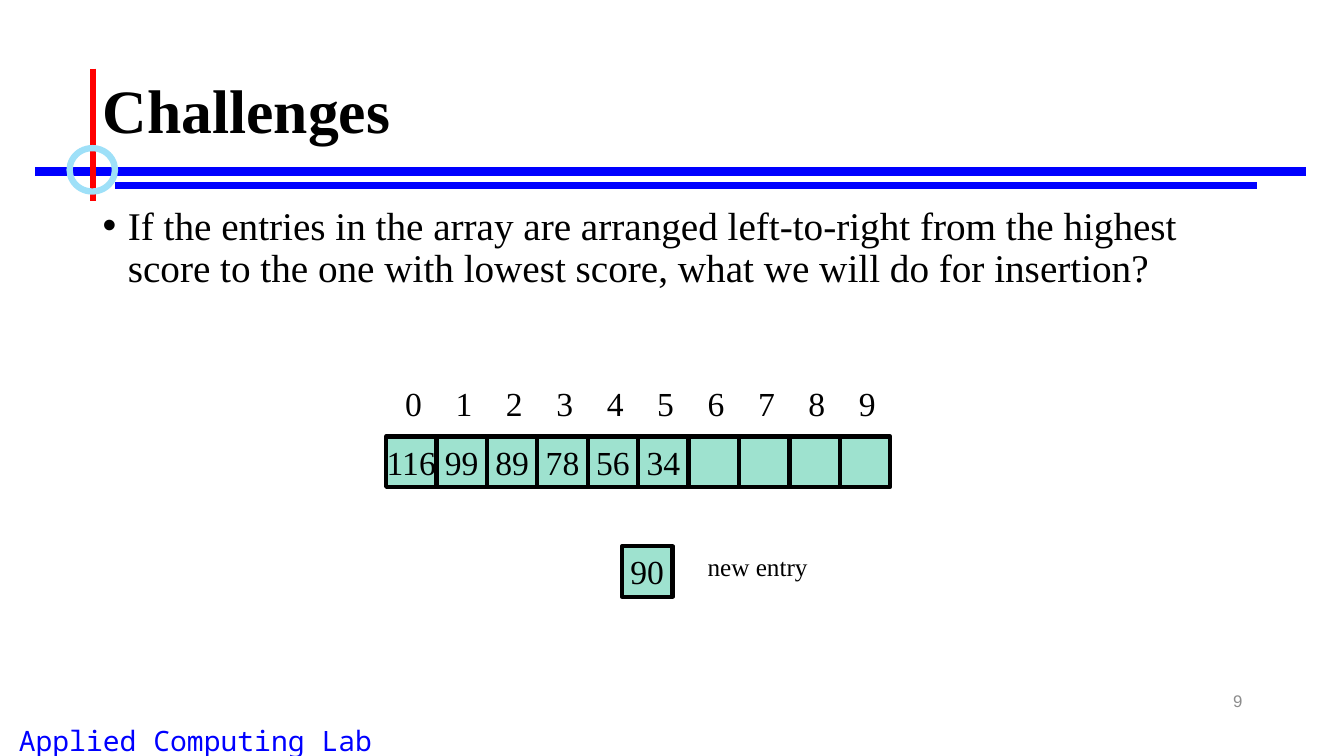
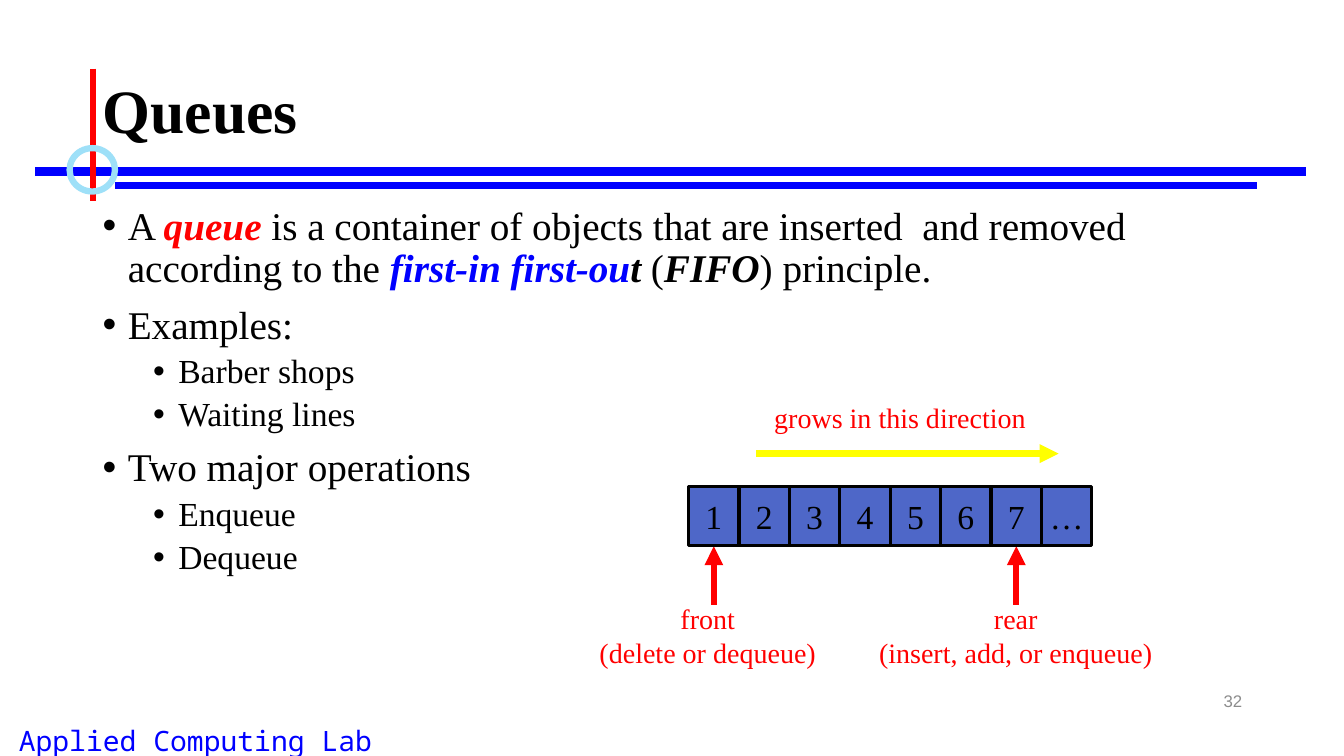
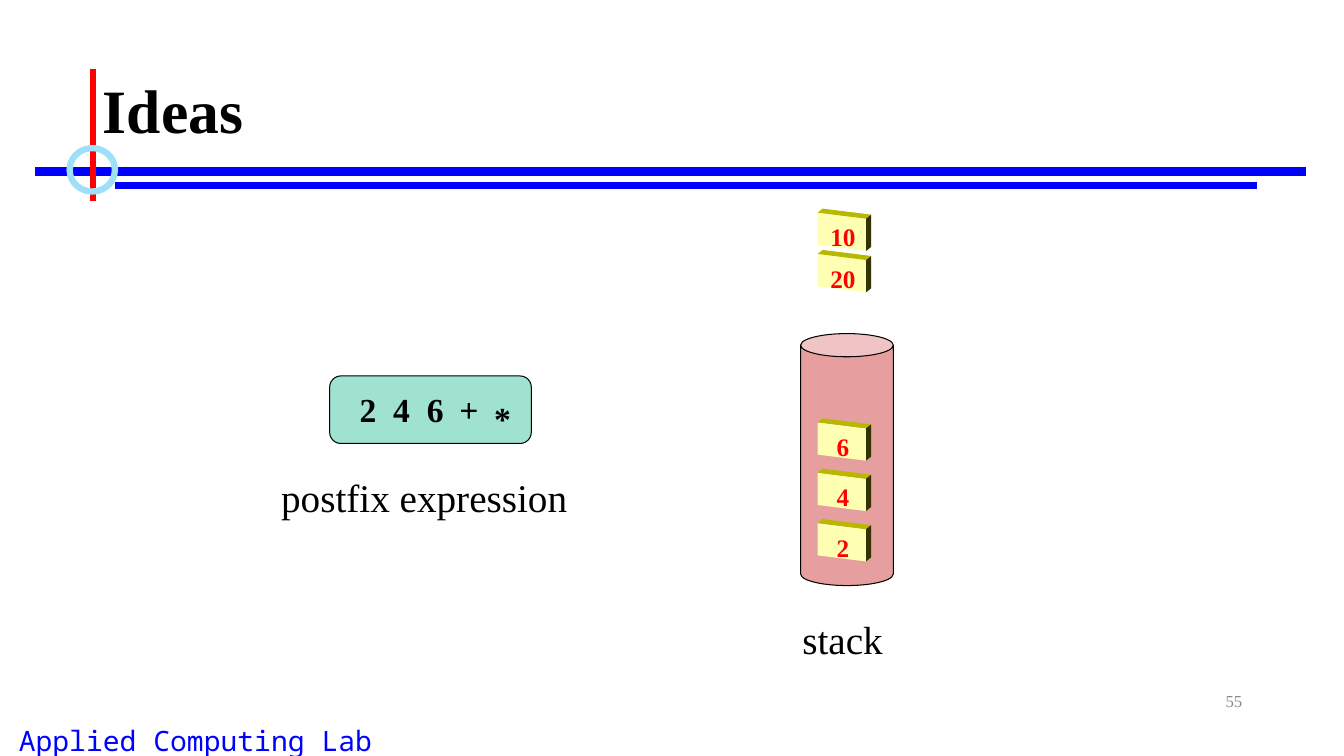
"""Build three data structure lecture slides on arrays, queues and stacks."""
from lxml import etree
from pptx import Presentation
from pptx.dml.color import RGBColor
from pptx.enum.shapes import MSO_CONNECTOR, MSO_SHAPE
from pptx.enum.text import MSO_ANCHOR, PP_ALIGN
from pptx.oxml.ns import qn
from pptx.util import Inches, Pt

LEFT, CENTER, RIGHT = PP_ALIGN.LEFT, PP_ALIGN.CENTER, PP_ALIGN.RIGHT
TOP, MIDDLE = MSO_ANCHOR.TOP, MSO_ANCHOR.MIDDLE
RECTANGLE, ROUNDED = MSO_SHAPE.RECTANGLE, MSO_SHAPE.ROUNDED_RECTANGLE
OVAL, CAN = MSO_SHAPE.OVAL, MSO_SHAPE.CAN
STRAIGHT = MSO_CONNECTOR.STRAIGHT
SERIF, SANS, MONO = "Times New Roman", "Arial", "Noto Sans Mono"
COLORS = {
    "black": "000000", "blue": "0000FF", "red": "FF0000", "sky": "9EE0F8",
    "gray": "8C8C8C", "mint": "9EE2CF", "indigo": "4E67C8", "yellow": "FFFF00",
    "crimson": "C00000", "cream": "FFFFB3", "olive": "B8B800", "dark": "333300",
}
PALETTE = {name: RGBColor.from_string(value) for name, value in COLORS.items()}


def add_text(para, text, size=24, color="black", font=SERIF, bold=False, italic=False, align=LEFT):
    """Add one formatted span to a paragraph."""
    para.alignment = align
    span = para.add_run()
    span.text = text
    span.font.name, span.font.size = font, Pt(size)
    span.font.bold, span.font.italic = bold, italic
    span.font.color.rgb = PALETTE[color]


def add_box(page, place, text="", kind=None, fill=None, line=None, weight=0.75,
            anchor=TOP, wrap=False, **style):
    """Add a text box, or a preset shape when a kind is given."""
    lengths = [Inches(value) for value in place]
    if kind is None:
        box = page.shapes.add_textbox(*lengths)
    else:
        box = page.shapes.add_shape(kind, *lengths)
        box.shadow.inherit = False
        if fill:
            box.fill.solid()
            box.fill.fore_color.rgb = PALETTE[fill]
        else:
            box.fill.background()
        if line:
            box.line.color.rgb = PALETTE[line]
            box.line.width = Pt(weight)
        else:
            box.line.fill.background()
    frame = box.text_frame
    frame.word_wrap, frame.vertical_anchor = wrap, anchor
    for index, words in enumerate(text.split("\n") if text else []):
        para = frame.add_paragraph() if index else frame.paragraphs[0]
        add_text(para, words, **style)
    return box


RULES = [
    (0.35, 1.7, 12.95, 1.7, "blue", 6, False),
    (1.14, 1.84, 12.47, 1.84, "blue", 4.5, False),
    (0.92, 0.68, 0.92, 1.99, "red", 4.5, False),
]
QUEUE_ARROWS = [
    (7.5, 4.5, 10.5, 4.5, "yellow", 4.5, True),
    (7.08, 6, 7.08, 5.42, "red", 4.5, True),
    (10.08, 6, 10.08, 5.42, "red", 4.5, True),
]
EMPHASIS = {"bold": True, "italic": True}
CHALLENGE_POINTS = [
    (0, [("If the entries in the array are arranged left-to-right from the highest score "
          "to the one with lowest score, what we will do for insertion?", {})]),
]
QUEUE_POINTS = [
    (0, [("A ", {}), ("queue", {"color": "red", **EMPHASIS}),
         (" is a container of objects that are inserted  and removed according to the ", {}),
         ("first-in first-ou", {"color": "blue", **EMPHASIS}), ("t", EMPHASIS),
         (" (", {}), ("FIFO", EMPHASIS), (") principle.", {})]),
    (0, [("Examples:", {})]),
    (1, [("Barber shops", {})]),
    (1, [("Waiting lines", {})]),
    (0, [("Two major operations", {})]),
    (1, [("Enqueue", {})]),
    (1, [("Dequeue", {})]),
]
PAGES = [
    ("Challenges", "9", SANS, CHALLENGE_POINTS, []),
    ("Queues", "32", SANS, QUEUE_POINTS, QUEUE_ARROWS),
    ("Ideas", "55", SERIF, [], []),
]

deck = Presentation()
deck.slide_width, deck.slide_height = Inches(13.33), Inches(7.5)

for heading, number, number_font, points, arrows in PAGES:
    page = deck.slides.add_slide(deck.slide_layouts[5])
    title = page.shapes.title
    title.left, title.top, title.width, title.height = map(Inches, (0.92, 0.4, 11.5, 1.45))
    title.text_frame.vertical_anchor = MIDDLE
    para = title.text_frame.paragraphs[0]
    para.line_spacing = 0.9
    add_text(para, heading, size=44, bold=True)

    for x1, y1, x2, y2, color, weight, pointed in RULES + arrows:
        rule = page.shapes.add_connector(STRAIGHT, Inches(x1), Inches(y1), Inches(x2), Inches(y2))
        rule.line.color.rgb = PALETTE[color]
        rule.line.width = Pt(weight)
        if pointed:
            etree.SubElement(rule.line._get_or_add_ln(), qn("a:tailEnd"), type="triangle")
        etree.SubElement(rule._element.spPr, qn("a:effectLst"))
    add_box(page, (0.69, 1.47, 0.45, 0.43), kind=OVAL, line="sky", weight=4.5)
    add_box(page, (-0.58, 7.13, 5.04, 0.43), "Applied Computing Lab", wrap=True,
            size=20, color="blue", font=MONO, align=CENTER)
    add_box(page, (9.42, 6.75, 3, 0.4), number, anchor=MIDDLE, wrap=True,
            size=12, color="gray", font=number_font, align=RIGHT)

    if points:
        body = add_box(page, (0.92, 2, 11.5, 4.76), wrap=True).text_frame
    for index, (level, spans) in enumerate(points):
        para = body.add_paragraph() if index else body.paragraphs[0]
        para.level = level
        para.line_spacing = 0.9
        para.space_before = Pt(5 if level else 10)
        for words, style in spans:
            add_text(para, words, size=24 if level else 28, **style)
        properties = para._p.get_or_add_pPr()
        properties.set("marL", str(Inches(0.25 + 0.5 * level)))
        properties.set("indent", str(Inches(-0.25)))
        etree.SubElement(properties, qn("a:buFont"), typeface=SANS)
        etree.SubElement(properties, qn("a:buChar"), char="•")

challenges, queues, ideas = deck.slides

CELL = {"kind": RECTANGLE, "line": "black", "anchor": MIDDLE, "align": CENTER}
scores = ["116", "99", "89", "78", "56", "34", "", "", "", ""]
for index, score in enumerate(scores):
    left = 3.83 + 0.5 * index
    add_box(challenges, (left, 4.33, 0.5, 0.5), score, fill="mint", weight=3, **CELL)
    add_box(challenges, (left + 0.09, 3.75, 0.37, 0.5), str(index))
add_box(challenges, (6.17, 5.42, 0.5, 0.5), "90", fill="mint", weight=3, **CELL)
add_box(challenges, (6.92, 5.42, 1.2, 0.4), "new entry", size=18)

for index, item in enumerate("1234567…"):
    add_box(queues, (6.83 + 0.5 * index, 4.83, 0.5, 0.58), item, fill="indigo", weight=2.25, **CELL)
for place, label, align in [
    ((7.58, 3.92, 2.71, 0.44), "grows in this direction", LEFT),
    ((5.84, 5.92, 2.36, 0.77), "front\n(delete or dequeue)", CENTER),
    ((8.61, 5.92, 2.93, 0.77), "rear\n(insert, add, or enqueue)", CENTER),
]:
    add_box(queues, place, label, size=20, color="red", align=align)

add_box(ideas, (3.27, 3.73, 2, 0.67), kind=ROUNDED, fill="mint", line="black")
for index, token in enumerate("246+*"):
    top = 3.9 if token == "*" else 3.81
    add_box(ideas, (3.44 + index / 3, top, 0.42, 0.42), token, kind=RECTANGLE, fill="mint",
            bold=True, align=CENTER)
add_box(ideas, (2.69, 4.65, 3.29, 0.57), "postfix expression ", size=28)

stack = add_box(ideas, (7.94, 3.31, 0.92, 2.5), kind=CAN, fill="crimson", line="black")
fill_color = stack._element.spPr.find(qn("a:solidFill"))[0]
etree.SubElement(fill_color, qn("a:alpha"), val="38000")
add_box(ideas, (7.86, 6.06, 1.1, 0.57), "stack ", size=28)

BLOCK_FACES = [
    ("cream", [(0, -0.04), (0.48, 0.02), (0.48, 0.34), (0, 0.28)]),
    ("olive", [(0, -0.04), (0.05, -0.08), (0.53, -0.02), (0.48, 0.02)]),
    ("dark", [(0.48, 0.02), (0.53, -0.02), (0.53, 0.3), (0.48, 0.34)]),
]
for value, top in [("2", 5.23), ("4", 4.73), ("6", 4.23), ("20", 2.56), ("10", 2.15)]:
    for color, corners in BLOCK_FACES:
        outline = [(Inches(8.11 + x), Inches(top + y)) for x, y in corners]
        builder = ideas.shapes.build_freeform(*outline[0])
        builder.add_line_segments(outline[1:], close=True)
        face = builder.convert_to_shape()
        face.shadow.inherit = False
        face.fill.solid()
        face.fill.fore_color.rgb = PALETTE[color]
        face.line.fill.background()
    add_box(ideas, (8.11, top, 0.5, 0.33), value, size=18, color="red", bold=True, align=CENTER)

deck.save("out.pptx")
